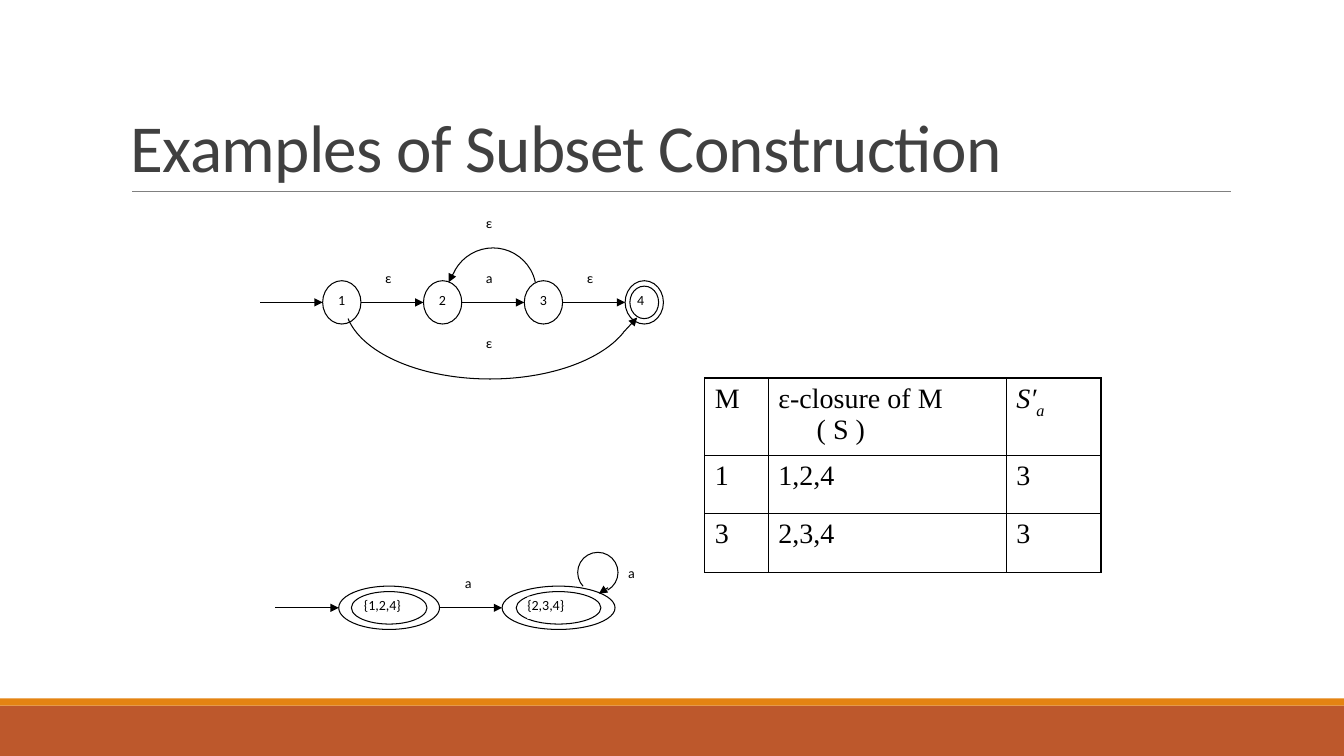
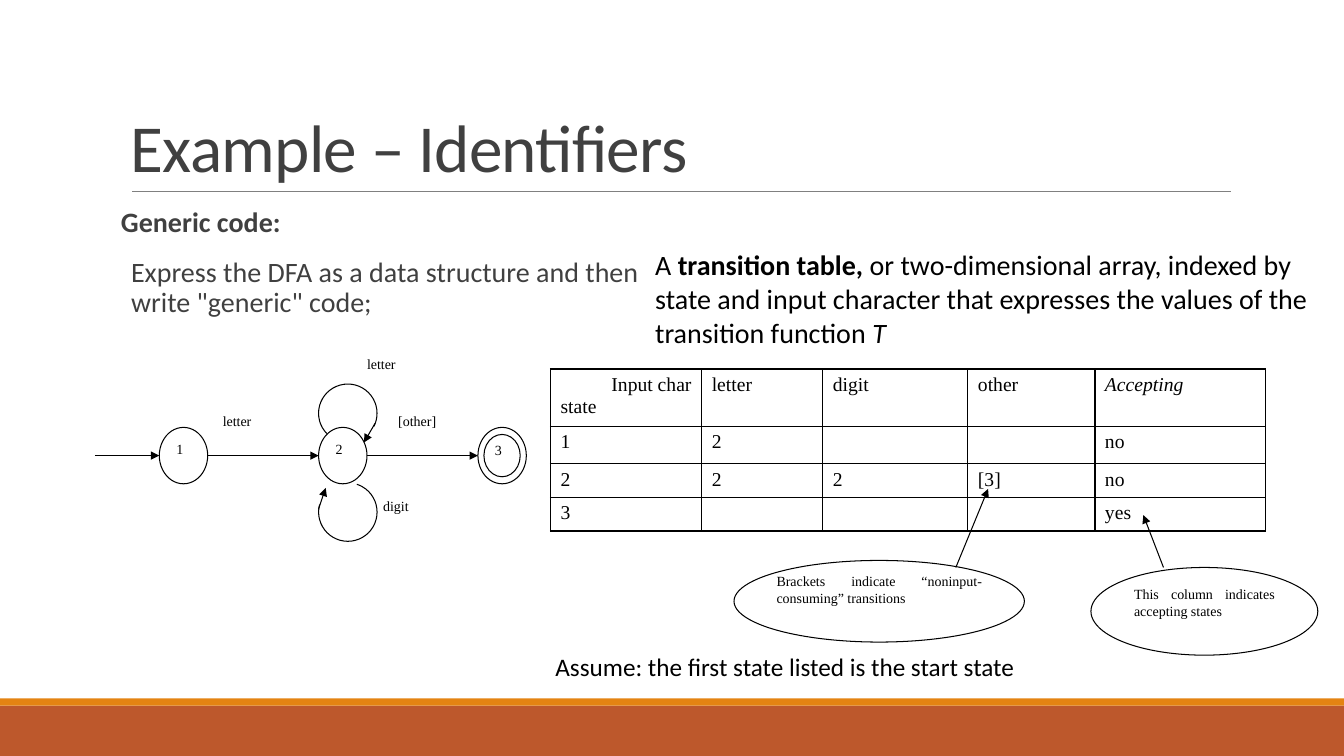
from lxml import etree
from pptx import Presentation
from pptx.dml.color import RGBColor
from pptx.enum.shapes import MSO_CONNECTOR, MSO_SHAPE
from pptx.enum.text import MSO_ANCHOR, PP_ALIGN
from pptx.oxml.ns import qn
from pptx.util import Inches, Pt

RECTANGLE, OVAL, ARC = MSO_SHAPE.RECTANGLE, MSO_SHAPE.OVAL, MSO_SHAPE.ARC
STRAIGHT = MSO_CONNECTOR.STRAIGHT
TOP, BOTTOM = MSO_ANCHOR.TOP, MSO_ANCHOR.BOTTOM
LEFT, RIGHT, JUSTIFY = PP_ALIGN.LEFT, PP_ALIGN.RIGHT, PP_ALIGN.JUSTIFY

BLACK = RGBColor(0x00, 0x00, 0x00)
WHITE = RGBColor(0xFF, 0xFF, 0xFF)
DARK_GREY = RGBColor(0x40, 0x40, 0x40)
RULE_GREY = RGBColor(0x80, 0x80, 0x80)
RUST = RGBColor(0xBD, 0x58, 0x2C)
ORANGE = RGBColor(0xE4, 0x83, 0x12)
SANS, SERIF = "Calibri", "Times New Roman"

WIDTH, HEIGHT = 13.33, 7.5
BANDS = [(HEIGHT * 14 / 15, HEIGHT / 15, RUST), (6.93, 0.07, ORANGE)]
RULE = (1.31, 1.9, 12.21, 1.9)
TITLE_BOX = (1.2, 0.31, 11, 1.59)
LABEL_SIZE = 10
LINE_WIDTH = 0.75
RING_INSET = 1 / 8  # share of an accepting state's size


def write(para, runs, font, size, color=BLACK, align=None):
    """Add (text, style) runs; style letters are b, i and s for subscript."""
    para.alignment = align
    for text, style in [(runs, "")] if isinstance(runs, str) else runs:
        if text == "\n":
            para.add_line_break()
            continue
        span = para.add_run()
        span.text = text
        span.font.name, span.font.size = font, Pt(size)
        span.font.color.rgb = color
        span.font.bold = "b" in style
        span.font.italic = "i" in style
        if "s" in style:
            span._r.get_or_add_rPr().set("baseline", "-30000")


def add_outline(page, kind, box, filled=True):
    shape = page.shapes.add_shape(kind, *map(Inches, box))
    shape.shadow.inherit = False
    if filled:
        shape.fill.solid()
        shape.fill.fore_color.rgb = WHITE
    else:
        shape.fill.background()
    shape.line.color.rgb = BLACK
    shape.line.width = Pt(LINE_WIDTH)
    return shape


# Automaton grids: left edge of the first state, pitch, state width and height
NFA_LEFT, NFA_PITCH, NFA_WIDTH, NFA_HEIGHT, NFA_AXIS = 3.2, 1, 0.38, 0.43, 3
DFA_LEFT, DFA_PITCH, DFA_WIDTH, DFA_HEIGHT, DFA_AXIS = 1.58, 1.58, 0.48, 0.56, 4.52
SUBSET_AXIS = 6.03
nfa_columns = [NFA_LEFT + NFA_PITCH * step for step in range(4)]
dfa_columns = [DFA_LEFT + DFA_PITCH * step for step in range(3)]
nfa_top = NFA_AXIS - NFA_HEIGHT / 2
dfa_top = DFA_AXIS - DFA_HEIGHT / 2
subset_top = SUBSET_AXIS - NFA_HEIGHT / 2

# ovals: box, text, alignment, insets (left/right, top/bottom)
# arcs: centre, radii, start and end angle (clockwise)
PAGES = [
    {
        "title": "Examples of Subset Construction",
        "font": SANS,
        "table": {
            "at": (6.99, 3.75), "size": 20, "hanging": 0.38,
            "columns": [0.63, 2.36, 0.94], "rows": [0.72, 0.58, 0.58],
            "cells": [
                ["M", [[("ε-closure of M", ""), ("\n", ""), ("( S )", "")]],
                 [[("S′", "i"), ("a", "is")]]],
                ["1", "1,2,4", "3"],
                ["3", "2,3,4", "3"],
            ],
        },
        "ovals": [((left, nfa_top, NFA_WIDTH, NFA_HEIGHT), name, LEFT, (0.1, 0.05))
                  for left, name in zip(nfa_columns, "123")],
        "rings": [(nfa_columns[3], nfa_top, NFA_WIDTH, NFA_HEIGHT),
                  (3.36, subset_top, 1, NFA_HEIGHT),
                  (4.98, subset_top, 1.12, NFA_HEIGHT)],
        "arcs": [(4.89, 2.89, 0.43, 0.43, 203, 348),
                 (4.86, 3, 1.44, 0.76, 12.8, 173.5),
                 (5.93, 5.68, 0.2, 0.2, 137, 61)],
        "arrows": [(left - NFA_PITCH + NFA_WIDTH, NFA_AXIS, left, NFA_AXIS)
                   for left in nfa_columns]
                  + [(4.49, 2.72, 4.45, 2.8), (6.18, 3.3, 6.32, 3.15),
                     (2.73, SUBSET_AXIS, 3.36, SUBSET_AXIS),
                     (4.36, SUBSET_AXIS, 4.98, SUBSET_AXIS),
                     (6.03, 5.83, 5.94, 5.89)],
        "labels": [((left, top, width, 0.22), text) for left, top, width, text in [
            (3.82, 2.67, 0.13, "ε"), (4.82, 2.67, 0.13, "a"), (5.82, 2.67, 0.13, "ε"),
            (4.82, 2.13, 0.13, "ε"), (4.82, 3.32, 0.13, "ε"), (6.32, 2.89, 0.13, "4"),
            (4.61, 5.7, 0.12, "a"), (6.23, 5.6, 0.12, "a"),
            (3.61, 5.92, 0.5, "{1,2,4}"), (5.23, 5.92, 0.5, "{2,3,4}")]],
    },
    {
        "title": "Example – Identifiers",
        "font": SERIF,
        "table": {
            "at": (5.46, 3.66), "size": 14, "hanging": 0,
            "columns": [1.5, 1.2, 1.44, 1.26, 1.69], "rows": [0.57, 0.37, 0.33, 0.33],
            "cells": [
                [["Input char", "state"], "letter", "digit", "other",
                 [[("Accepting", "i")]]],
                ["1", "2", "", "", "no"],
                ["2", "2", "2", "[3]", "no"],
                ["3", "", "", "", "yes"],
            ],
        },
        "ovals": [((left, dfa_top, DFA_WIDTH, DFA_HEIGHT), name, LEFT, (0.1, 0.05))
                  for left, name in zip(dfa_columns, "12")]
                 + [((7.28, 5.56, 2.88, 0.81),
                     "Brackets indicate “noninput-consuming” transitions", JUSTIFY, (0, 0)),
                    ((10.82, 5.63, 2.25, 0.87),
                     "This column indicates accepting states", JUSTIFY, (0.1, 0.05))],
        "rings": [(dfa_columns[2], dfa_top, DFA_WIDTH, DFA_HEIGHT)],
        "arcs": [(3.45, 4.1, 0.29, 0.29, 136, 27), (3.45, 5.08, 0.29, 0.29, 288, 195)],
        "arrows": [(0.94, DFA_AXIS, DFA_LEFT, DFA_AXIS)]
                  + [(left - DFA_PITCH + DFA_WIDTH, DFA_AXIS, left, DFA_AXIS)
                     for left in dfa_columns[1:]]
                  + [(3.72, 4.2, 3.61, 4.39), (3.16, 5.05, 3.23, 4.84),
                     (9.48, 5.63, 9.8, 4.85), (11.54, 5.63, 11.34, 5.11)],
        "labels": [((left, top, width, 0.28), text) for left, top, width, text in [
            (2.21, 4.09, 0.64, "letter"), (3.64, 3.53, 0.79, "letter"),
            (3.95, 4.09, 0.63, "[other]"), (3.8, 4.94, 0.48, "digit"),
            (4.91, 4.38, 0.16, "3")]],
    },
]

deck = Presentation()
deck.slide_width, deck.slide_height = Inches(WIDTH), Inches(HEIGHT)
pages, tables = [], []

for content in PAGES:
    page = deck.slides.add_slide(deck.slide_layouts[6])
    pages.append(page)

    for top, height, color in BANDS:
        band = add_outline(page, RECTANGLE, (0, top, WIDTH, height))
        band.fill.fore_color.rgb = color
        band.line.fill.background()

    title = page.shapes.add_textbox(*map(Inches, TITLE_BOX)).text_frame
    title.word_wrap, title.vertical_anchor = True, BOTTOM
    para = title.paragraphs[0]
    para.line_spacing = 0.85
    write(para, content["title"], SANS, 48, DARK_GREY)
    para.runs[0]._r.get_or_add_rPr().set("spc", "-50")

    grid = content["table"]
    columns, rows = grid["columns"], grid["rows"]
    table = page.shapes.add_table(
        len(rows), len(columns), *map(Inches, (*grid["at"], sum(columns), sum(rows)))).table
    table.first_row = table.horz_banding = False
    tables.append(table)
    for column, width in zip(table.columns, columns):
        column.width = Inches(width)
    for row, height, values in zip(table.rows, rows, grid["cells"]):
        row.height = Inches(height)
        for cell, value in zip(row.cells, values):
            properties = cell._tc.get_or_add_tcPr()
            for side in ("lnL", "lnR", "lnT", "lnB"):
                border = etree.SubElement(properties, qn("a:" + side), w=str(Pt(1)))
                paint = etree.SubElement(border, qn("a:solidFill"))
                etree.SubElement(paint, qn("a:srgbClr"), val=str(BLACK))
            cell.fill.background()
            for index, runs in enumerate(value if isinstance(value, list) else [value]):
                frame = cell.text_frame
                para = frame.add_paragraph() if index else frame.paragraphs[0]
                if not runs:
                    etree.SubElement(para._p, qn("a:endParaRPr"), sz=str(grid["size"] * 100))
                    continue
                write(para, runs, SERIF, grid["size"])
                if grid["hanging"]:
                    indent = Inches(grid["hanging"])
                    para._p.get_or_add_pPr().set("marL", str(indent))
                    para._p.get_or_add_pPr().set("indent", str(-indent))

    for box, text, align, (side, edge) in content["ovals"]:
        frame = add_outline(page, OVAL, box).text_frame
        frame.word_wrap, frame.vertical_anchor = True, TOP
        frame.margin_left = frame.margin_right = Inches(side)
        frame.margin_top = frame.margin_bottom = Inches(edge)
        write(frame.paragraphs[0], text, content["font"], LABEL_SIZE, align=align)

    for left, top, width, height in content["rings"]:
        for inset in (0, RING_INSET):
            add_outline(page, OVAL, (left + width * inset, top + height * inset,
                                     width * (1 - 2 * inset), height * (1 - 2 * inset)))

    for x, y, across, down, start, end in content["arcs"]:
        arc = add_outline(page, ARC, (x - across, y - down, 2 * across, 2 * down), False)
        for index, angle in enumerate((start, end)):
            arc.adjustments[index] = angle * 0.6  # 60000ths of a degree over 100000

    for ends in [RULE] + content["arrows"]:
        line = page.shapes.add_connector(STRAIGHT, *map(Inches, ends))
        is_rule = ends == RULE
        line.line.color.rgb = RULE_GREY if is_rule else BLACK
        line.line.width = Pt(0.5 if is_rule else LINE_WIDTH)
        if not is_rule:
            etree.SubElement(line.line._get_or_add_ln(), qn("a:tailEnd"), type="triangle")
        etree.SubElement(line._element.spPr, qn("a:effectLst"))

    for box, text in content["labels"]:
        label = page.shapes.add_textbox(*map(Inches, box))
        label.fill.solid()
        label.fill.fore_color.rgb = WHITE
        frame = label.text_frame
        frame.word_wrap = True
        frame.margin_left = frame.margin_right = frame.margin_top = frame.margin_bottom = 0
        write(frame.paragraphs[0], text, content["font"], LABEL_SIZE)

tables[1].cell(0, 0).text_frame.paragraphs[0].alignment = RIGHT

identifiers = pages[1]
body = identifiers.shapes.add_textbox(*map(Inches, (1.2, 2.02, 5.2, 1.3))).text_frame
body.word_wrap = True
body.margin_left = body.margin_right = 0
heading, detail = body.paragraphs[0], body.add_paragraph()
for para in (heading, detail):
    para.line_spacing, para.space_after = 0.9, Pt(2)
detail.space_before = Pt(12)
detail._p.get_or_add_pPr().set("marL", str(Inches(0.1)))
write(heading, [("Generic code:", "b")], SANS, 20, DARK_GREY)
write(detail, "Express the DFA as a data structure and then write \"generic\" code;",
      SANS, 20, DARK_GREY)

for box, wraps, size, runs in [
    ((6.4, 2.41, 6.67, 1.11), True, 20, [
        ("A ", ""), ("transition table, ", "b"),
        ("or two-dimensional array, indexed by state and input character that "
         "expresses the values of the transition function ", ""), ("T", "i")]),
    ((5.41, 6.41, 4.92, 0.4), False, 18, "Assume: the first state listed is the start state"),
]:
    frame = identifiers.shapes.add_textbox(*map(Inches, box)).text_frame
    frame.word_wrap = wraps
    write(frame.paragraphs[0], runs, SANS, size)

deck.save("out.pptx")
